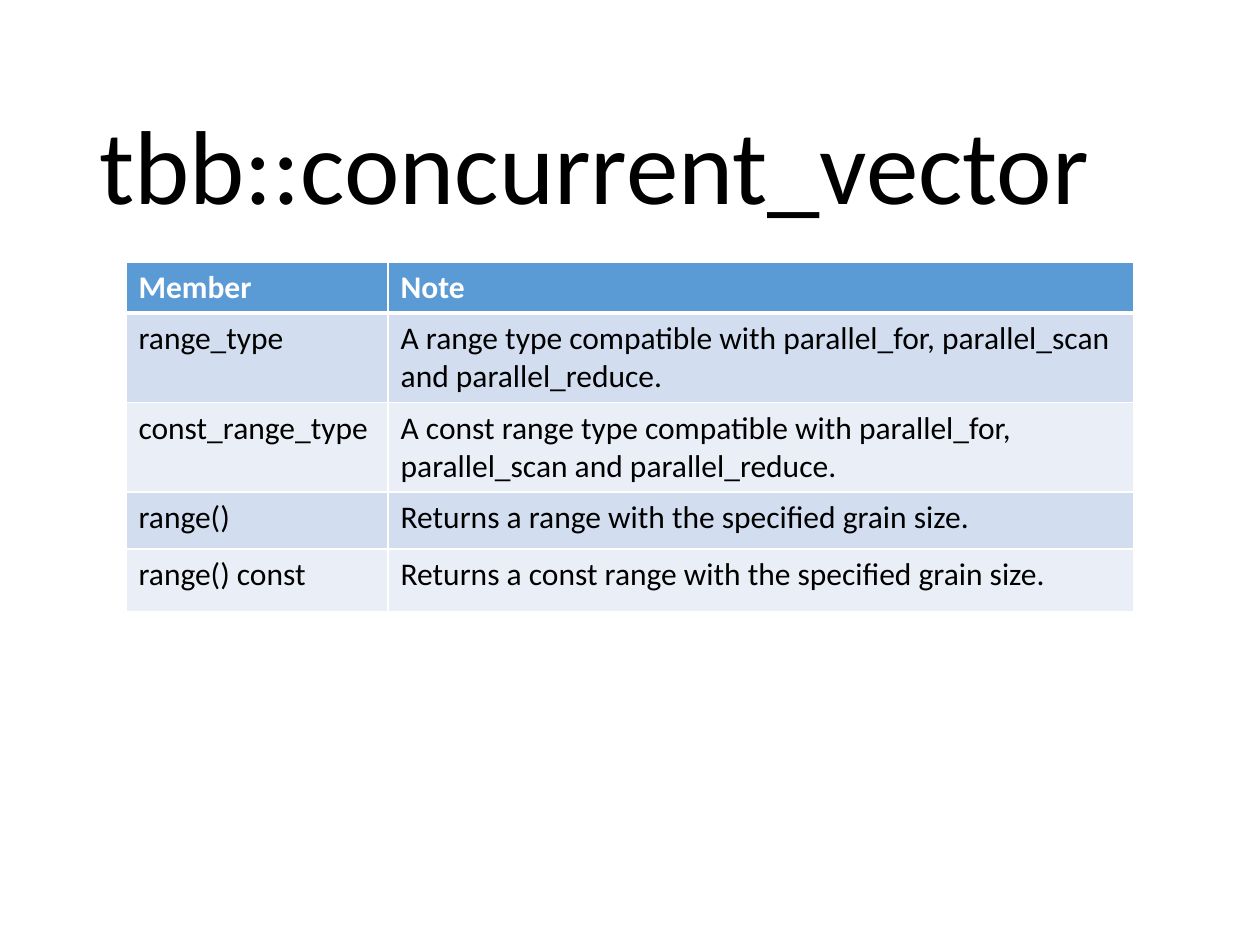
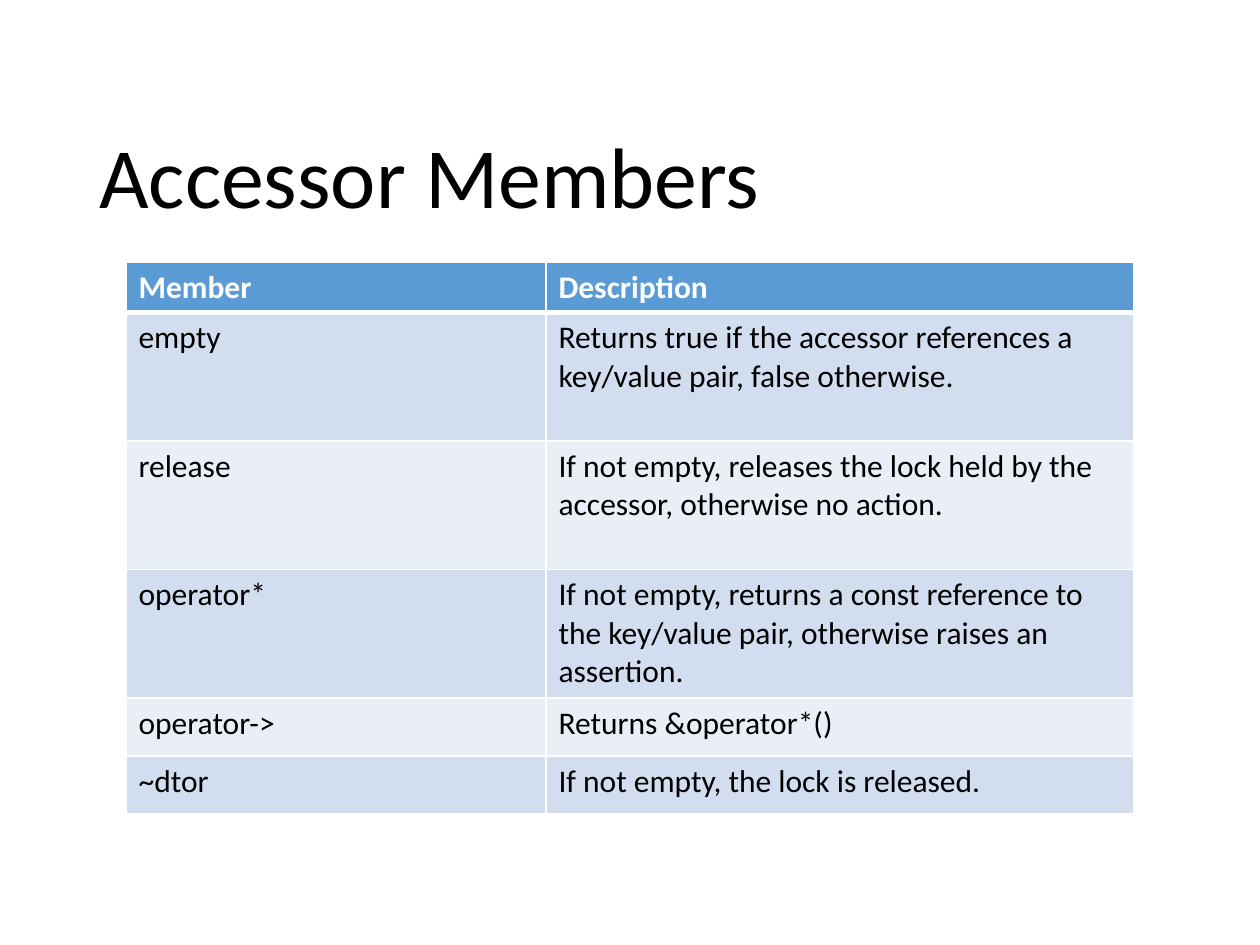
import pptx
import pptx.util
import pptx.dml.color
import pptx.enum.text
import pptx.oxml
import pptx.oxml.ns

Inches = pptx.util.Inches
Pt = pptx.util.Pt
RGB = pptx.dml.color.RGBColor

WHITE = RGB(0xFF, 0xFF, 0xFF)
BLACK = RGB(0x00, 0x00, 0x00)
BLUE = RGB(0x5B, 0x9B, 0xD5)
BANDS = (RGB(0xD2, 0xDE, 0xEF), RGB(0xEA, 0xEF, 0xF7))
FONT = "Calibri"

WIDE, HIGH = 10, 7.5
TITLE = (0.69, 0.4, 8.62, 1.45)
GRID = (1, 2.08, 8)

VECTOR = [
    ("Member", "Note"),
    ("range_type", "A range type compatible with parallel_for, parallel_scan and parallel_reduce."),
    ("const_range_type", "A const range type compatible with parallel_for, parallel_scan and parallel_reduce."),
    ("range()", "Returns a range with the specified grain size."),
    ("range() const", "Returns a const range with the specified grain size."),
]
ACCESS = [
    ("Member", "Description"),
    ("empty", "Returns true if the accessor references a key/value pair, false otherwise."),
    ("release", "If not empty, releases the lock held by the accessor, otherwise no action."),
    ("operator*", "If not empty, returns a const reference to the key/value pair, otherwise raises an assertion."),
    ("operator->", "Returns &operator*()"),
    ("~dtor", "If not empty, the lock is released."),
]


def style(par, size, color, bold=False):
    par.font.name = FONT
    par.font.size = Pt(size)
    par.font.color.rgb = color
    par.font.bold = bold


def border(cell, row):
    props = cell._tc.get_or_add_tcPr()
    thick = {"T": row == 1, "B": row == 0}
    for side in "LRTB":
        width = Pt(3 if thick.get(side) else 1)
        props.append(pptx.oxml.parse_xml(
            f'<a:ln{side} {pptx.oxml.ns.nsdecls("a")} w="{width}">'
            f'<a:solidFill><a:srgbClr val="{WHITE}"/></a:solidFill></a:ln{side}>'))


def title(slide, box, text, size):
    frame = slide.shapes.add_textbox(*map(Inches, box)).text_frame
    frame.word_wrap = True
    frame.vertical_anchor = pptx.enum.text.MSO_ANCHOR.BOTTOM
    par = frame.paragraphs[0]
    par.text = text
    par.line_spacing = 0.9
    style(par, size, BLACK)


def grid(slide, box, data, split, rows):
    left, top, width = box
    table = slide.shapes.add_table(
        len(data), 2, *map(Inches, (left, top, width, sum(rows)))).table
    table.first_row = table.horz_banding = False
    for col, share in zip(table.columns, (split, 1 - split)):
        col.width = Inches(width * share)
    for row, (texts, height) in enumerate(zip(data, rows)):
        table.rows[row].height = Inches(height)
        head = row == 0
        for col, text in enumerate(texts):
            cell = table.cell(row, col)
            cell.text = text
            style(cell.text_frame.paragraphs[0], 18, WHITE if head else BLACK, head)
            border(cell, row)
            cell.fill.solid()
            cell.fill.fore_color.rgb = BLUE if head else BANDS[(row - 1) % 2]


def page(deck, text, size, data, split, rows):
    slide = deck.slides.add_slide(deck.slide_layouts[6])
    grid(slide, GRID, data, split, rows)
    title(slide, TITLE, text, size)


def main():
    deck = pptx.Presentation()
    deck.slide_width, deck.slide_height = Inches(WIDE), Inches(HIGH)
    page(deck, "tbb::concurrent_vector", 60, VECTOR, 0.26, (0.4, 0.7, 0.7, 0.45, 0.5))
    page(deck, "Accessor Members", 49, ACCESS, 5 / 12, (0.4, *[1.02] * 3, *[0.46] * 2))
    deck.save("out.pptx")


if __name__ == "__main__":
    main()
